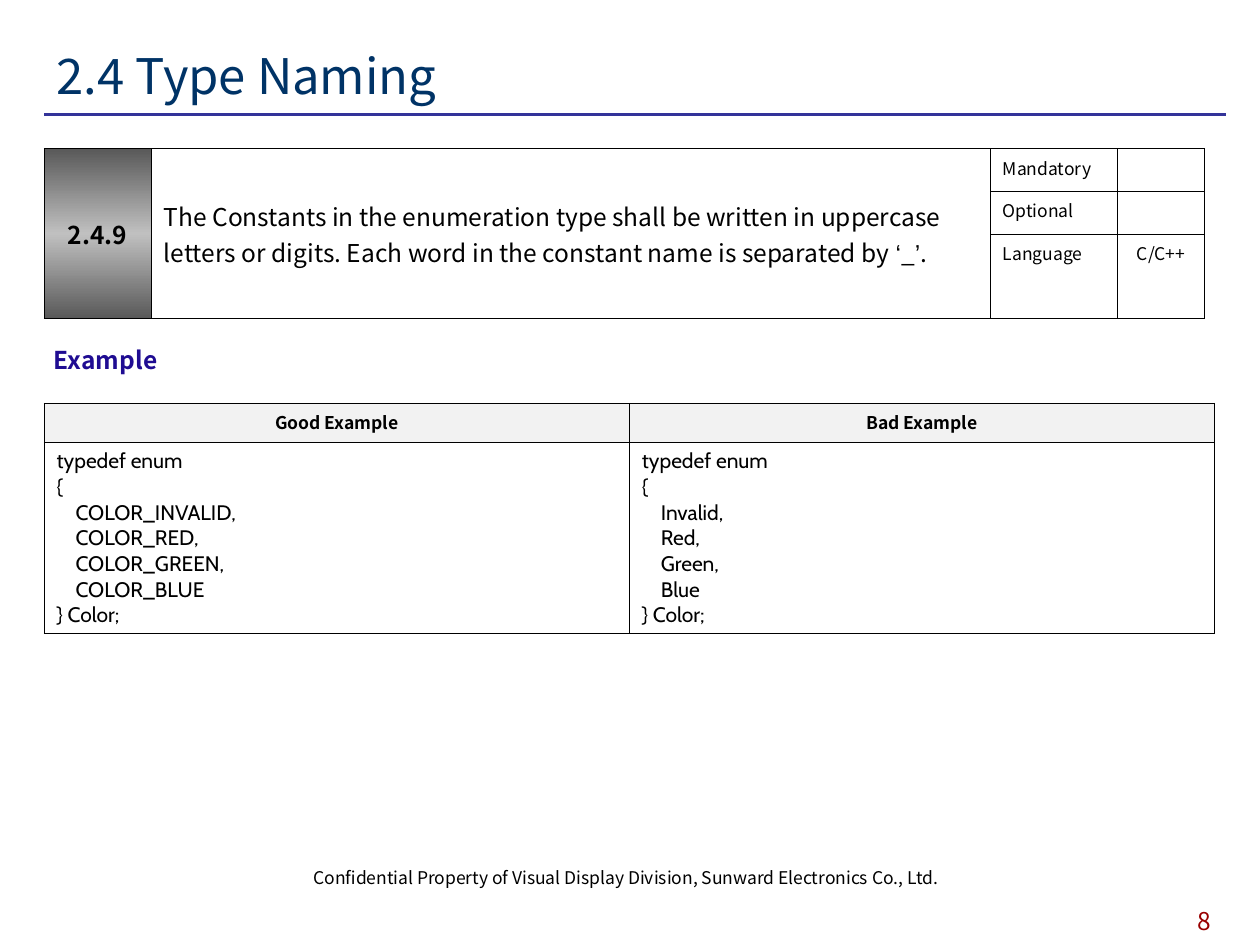
from copy import deepcopy

from lxml import etree
from pptx import Presentation
from pptx import util as u
from pptx.dml.color import RGBColor
from pptx.enum import shapes, text
from pptx.oxml.ns import qn

BLACK = RGBColor(0x00, 0x00, 0x00)
NAVY = RGBColor(0x00, 0x33, 0x66)
RULE_BLUE = RGBColor(0x33, 0x33, 0x99)
INDIGO = RGBColor(0x1F, 0x0C, 0x92)
DARK_RED = RGBColor(0x99, 0x00, 0x00)
PALE_GRAY = RGBColor(0xF2, 0xF2, 0xF2)
SILVER = RGBColor(0xC0, 0xC0, 0xC0)
CHARCOAL = RGBColor(0x59, 0x59, 0x59)
SANS, CODE, QUOTE = "Noto Sans CJK KR", "Cabin", "Arial"
LEFT, CENTER = text.PP_ALIGN.LEFT, text.PP_ALIGN.CENTER
MIDDLE = text.MSO_ANCHOR.MIDDLE

deck = Presentation()
deck.slide_width, deck.slide_height = u.Inches(10), u.Inches(7.5)
unit = deck.slide_width // 100
margin = 3.5
page = deck.slides.add_slide(deck.slide_layouts.get_by_name("Title Only"))


def write(para, words, size, color=BLACK, bold=False, align=LEFT, before=0, face=SANS):
    para.alignment = align
    para.space_before = u.Pt(before)
    para.font.name, para.font.size, para.font.bold = face, u.Pt(size), bold
    para.font.color.rgb = color
    for word in words:
        span = para.add_run()
        span.text = word
        if word in "‘’":
            span.font.name = QUOTE


def add_grid(top, columns, rows, weight):
    left, top, width, height = (int(n * unit) for n in (margin, top, sum(columns), sum(rows)))
    table = page.shapes.add_table(len(rows), len(columns), left, top, width, height).table
    table.first_row = table.horz_banding = False
    for column, size in zip(table.columns, columns):
        column.width = int(size * unit)
    for row, size in zip(table.rows, rows):
        row.height = int(size * unit)
    for cell in table.iter_cells():
        properties = cell._tc.get_or_add_tcPr()
        for side in ("a:lnL", "a:lnR", "a:lnT", "a:lnB"):
            line = etree.SubElement(properties, qn(side), w=str(u.Pt(weight)))
            paint = etree.SubElement(line, qn("a:solidFill"))
            etree.SubElement(paint, qn("a:srgbClr"), val=str(BLACK))
        cell.fill.background()
    return table


title = page.shapes.title
title.left, title.top, title.width, title.height = (int(n * unit) for n in (margin, 2.8, 93.7, 6.3))
title.text_frame.auto_size = text.MSO_AUTO_SIZE.NONE
title.text_frame.vertical_anchor = MIDDLE
write(title.text_frame.paragraphs[0], ["2.4 Type Naming"], 28, NAVY)

start, end, level = (int(n * unit) for n in (margin, 97.3, 9.1))
rule = page.shapes.add_connector(shapes.MSO_CONNECTOR.STRAIGHT, start, level, end, level)
rule.line.color.rgb, rule.line.width = RULE_BLUE, u.Pt(2)
etree.SubElement(rule._element.spPr, qn("a:effectLst"))

labels = [
    ((22.5, 68.3, 54.3, 5), "Confidential Property of Visual Display Division, Sunward Electronics Co., Ltd.",
     10, BLACK, False, CENTER),
    ((91.2, 71.4, 8.8, 3.6), "8", 14, DARK_RED, False, CENTER),
    ((3.3, 26.9, 12, 3.8), "Example", 14, INDIGO, True, LEFT),
]
for place, words, size, color, bold, align in labels:
    box = page.shapes.add_textbox(*(int(n * unit) for n in place))
    box.text_frame.word_wrap = True
    write(box.text_frame.paragraphs[0], [words], size, color, bold, align)

guideline = add_grid(11.8, (8.5, 66.6, 10.1, 6.9), (3.4, 3.4, 6.7), 0.23)
number, statement = guideline.cell(0, 0), guideline.cell(0, 1)
for column, cell in enumerate((number, statement)):
    cell.merge(guideline.cell(2, column))
    cell.vertical_anchor = MIDDLE
write(number.text_frame.paragraphs[0], ["2.4.9"], 14, bold=True, align=CENTER, before=3.5)
write(statement.text_frame.paragraphs[0], [
    "The Constants in the enumeration type shall be written in uppercase letters or digits. "
    "Each word in the constant name is separated by ", "‘", "_", "’", "."], 14, before=3.5)

number.fill.gradient()
number.fill.gradient_angle = 90
stop_list = number._tc.tcPr.find(qn("a:gradFill")).find(qn("a:gsLst"))
stop_list.append(deepcopy(stop_list[-1]))
for stop, position, color in zip(number.fill.gradient_stops, (0, 0.5, 1), (CHARCOAL, SILVER, CHARCOAL)):
    stop.position, stop.color.rgb = position, color

for row, (name, value) in enumerate((("Mandatory", ""), ("Optional", ""), ("Language", "C/C++"))):
    write(guideline.cell(row, 2).text_frame.paragraphs[0], [name], 10, before=2.5)
    para = guideline.cell(row, 3).text_frame.paragraphs[0]
    write(para, [value] if value else [], 10, align=CENTER, before=2.5)
    if not value:
        etree.SubElement(para._p, qn("a:endParaRPr"), sz="1000")

examples = {
    "Good Example": ("COLOR_INVALID,", "COLOR_RED,", "COLOR_GREEN,", "COLOR_BLUE"),
    "Bad Example": ("Invalid,", "Red,", "Green,", "Blue"),
}
comparison = add_grid(32, (46.45, 46.45), (3.1, 15.2), 0.45)
for column, (heading, constants) in enumerate(examples.items()):
    header, body = comparison.cell(0, column), comparison.cell(1, column)
    header.fill.solid()
    header.fill.fore_color.rgb = PALE_GRAY
    write(header.text_frame.paragraphs[0], [heading], 10, bold=True, align=CENTER)
    body.vertical_anchor = MIDDLE
    for index, words in enumerate(("typedef enum", "{", *constants, "} Color;")):
        frame = body.text_frame
        para = frame.add_paragraph() if index else frame.paragraphs[0]
        write(para, [words], 12, face=CODE)
        if words in constants:
            para._p.get_or_add_pPr().set("marL", str(int(1.5 * unit)))

deck.save("out.pptx")
